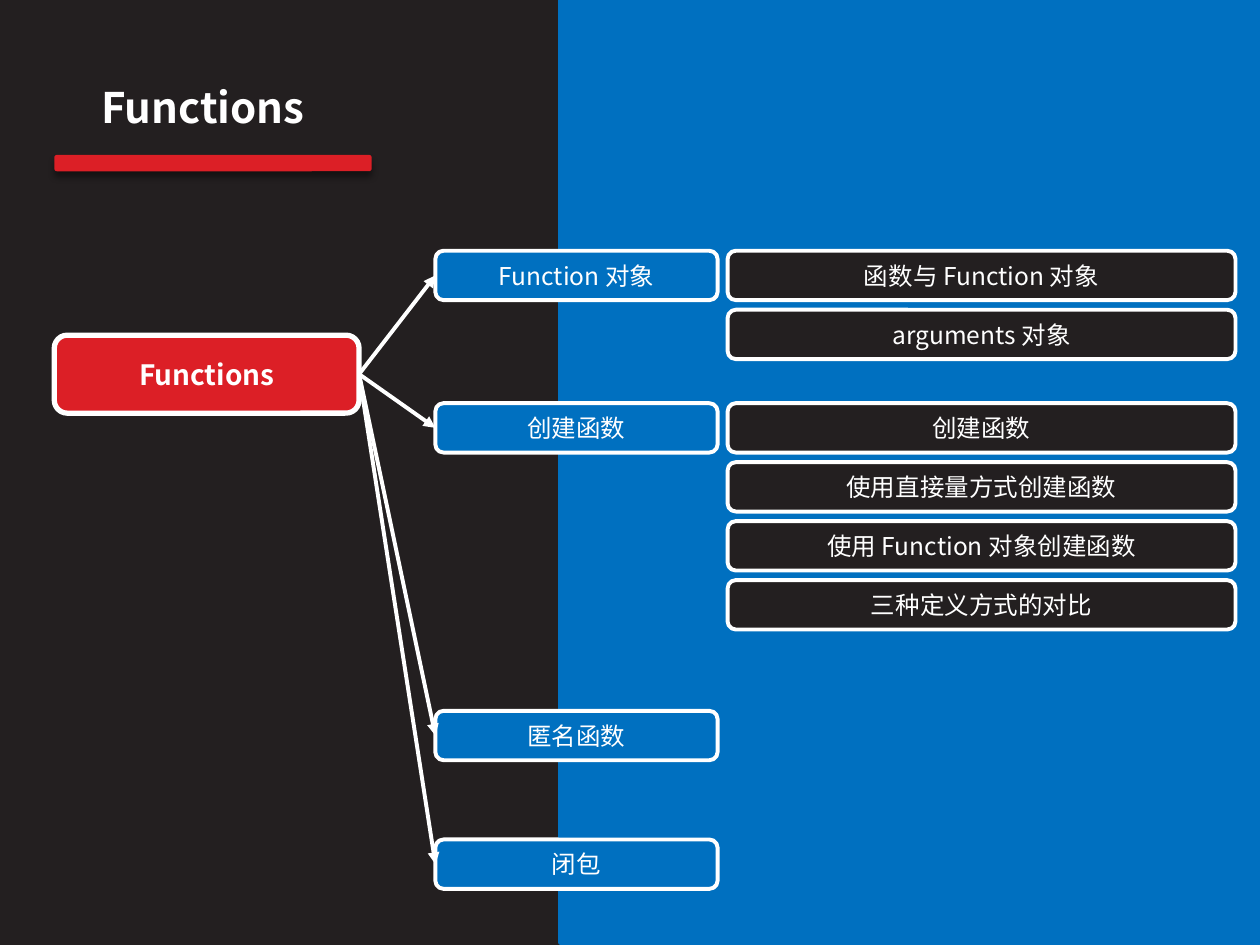
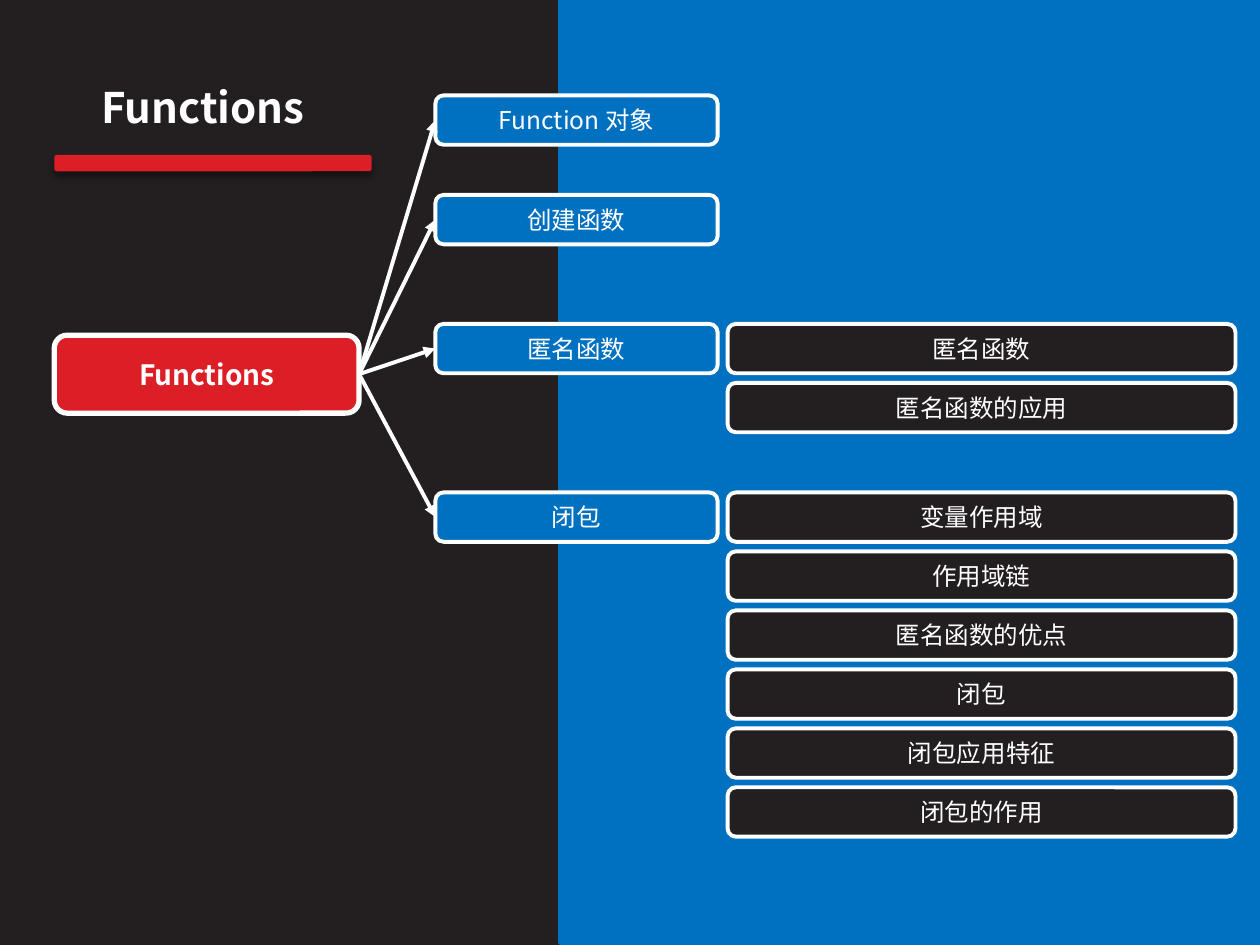
from dataclasses import dataclass

from lxml.etree import SubElement
from pptx import Presentation
from pptx.dml.color import RGBColor
from pptx.enum.shapes import MSO_CONNECTOR, MSO_SHAPE
from pptx.enum.text import MSO_ANCHOR, PP_ALIGN
from pptx.oxml.ns import qn
from pptx.shapes.autoshape import Shape
from pptx.slide import Slide
from pptx.text.text import TextFrame
from pptx.util import Pt

# Shared look
DARK = RGBColor(0x23, 0x1F, 0x20)
BLUE = RGBColor(0x00, 0x70, 0xC0)
RED = RGBColor(0xDC, 0x1F, 0x26)
WHITE = RGBColor(0xFF, 0xFF, 0xFF)
FONT = "Noto Sans CJK SC"
TITLE = "Functions"

# Outline grid, in points
TOPIC_LEFT, TOPIC_WIDTH = 248.8, 161.3
DETAIL_LEFT, DETAIL_WIDTH = 415.8, 290.2
BOX_HEIGHT = 28.2
DETAIL_PITCH = 33.7
LEFT_SITE, RIGHT_SITE = 1, 3


@dataclass(frozen=True)
class Topic:
    name: str
    top: float
    details: tuple[str, ...] = ()


@dataclass(frozen=True)
class BoxStyle:
    fill: RGBColor
    line_width: float = 2.25
    font_size: float = 14
    bold: bool = False


ROOT_STYLE = BoxStyle(RED, line_width=3, font_size=16, bold=True)
TOPIC_STYLE = BoxStyle(BLUE)
DETAIL_STYLE = BoxStyle(DARK)

OUTLINES = (
    (
        Topic("Function 对象", 143.3, ("函数与 Function 对象", "arguments 对象")),
        Topic("创建函数", 230.4, (
            "创建函数", "使用直接量方式创建函数",
            "使用 Function 对象创建函数", "三种定义方式的对比")),
        Topic("匿名函数", 406.2),
        Topic("闭包", 479.7),
    ),
    (
        Topic("Function 对象", 54.5),
        Topic("创建函数", 111.4),
        Topic("匿名函数", 185.1, ("匿名函数", "匿名函数的应用")),
        Topic("闭包", 281.4, (
            "变量作用域", "作用域链", "匿名函数的优点",
            "闭包", "闭包应用特征", "闭包的作用")),
    ),
)


def write_text(frame: TextFrame, text: str, size: float, bold: bool) -> None:
    frame.word_wrap = True
    paragraph = frame.paragraphs[0]
    paragraph.text = text
    paragraph.alignment = PP_ALIGN.CENTER
    font = paragraph.font
    font.name, font.size, font.bold = FONT, Pt(size), bold
    font.color.rgb = WHITE
    # East Asian characters need their own typeface entry
    properties = paragraph.runs[0].font
    properties.name = FONT
    SubElement(paragraph.runs[0]._r.rPr, qn("a:ea"), typeface=FONT)


def add_box(slide: Slide, text: str, left: float, top: float, width: float,
            height: float, style: BoxStyle) -> Shape:
    box = slide.shapes.add_shape(
        MSO_SHAPE.ROUNDED_RECTANGLE, Pt(left), Pt(top), Pt(width), Pt(height))
    box.shadow.inherit = False
    box.fill.solid()
    box.fill.fore_color.rgb = style.fill
    box.line.color.rgb = WHITE
    box.line.width = Pt(style.line_width)
    box.text_frame.vertical_anchor = MSO_ANCHOR.MIDDLE
    write_text(box.text_frame, text, style.font_size, style.bold)
    return box


def add_arrow(slide: Slide, start: Shape, end: Shape) -> None:
    arrow = slide.shapes.add_connector(MSO_CONNECTOR.STRAIGHT, 0, 0, 0, 0)
    arrow.begin_connect(start, RIGHT_SITE)
    arrow.end_connect(end, LEFT_SITE)
    arrow.line.color.rgb = WHITE
    arrow.line.width = Pt(2.25)
    SubElement(arrow.line._get_or_add_ln(), qn("a:tailEnd"), type="triangle")
    SubElement(arrow._element.spPr, qn("a:effectLst"))


def add_backdrop(slide: Slide) -> None:
    slide.background.fill.solid()
    slide.background.fill.fore_color.rgb = DARK
    panel = slide.shapes.add_shape(
        MSO_SHAPE.RECTANGLE, Pt(320.4), Pt(0), Pt(399.6), Pt(538.6))
    panel.shadow.inherit = False
    panel.fill.solid()
    panel.fill.fore_color.rgb = BLUE
    panel.line.color.rgb = BLUE
    panel.line.width = Pt(3)


def add_title(slide: Slide) -> None:
    group = slide.shapes.add_group_shape()
    title = group.shapes.add_textbox(Pt(-14.4), Pt(43.2), Pt(260.6), Pt(51.1))
    write_text(title.text_frame, TITLE, 24, True)
    bar = group.shapes.add_shape(
        MSO_SHAPE.ROUNDED_RECTANGLE, Pt(31), Pt(88.5), Pt(181.4), Pt(9.4))
    bar.fill.solid()
    bar.fill.fore_color.rgb = RED
    bar.line.fill.background()
    # Soft shadow straight below the bar
    bar.shadow.inherit = False
    effects = bar._element.spPr.find(qn("a:effectLst"))
    shadow = SubElement(
        effects, qn("a:outerShdw"), blurRad=str(Pt(4)), dist=str(Pt(3)),
        dir="5400000", algn="ctr", rotWithShape="0")
    color = SubElement(shadow, qn("a:srgbClr"), val="000000")
    SubElement(color, qn("a:alpha"), val="43000")


def add_outline(slide: Slide, topics: tuple[Topic, ...]) -> None:
    root = add_box(slide, TITLE, 31, 191.5, 174.2, 44.6, ROOT_STYLE)
    for topic in topics:
        topic_box = add_box(slide, topic.name, TOPIC_LEFT, topic.top,
                            TOPIC_WIDTH, BOX_HEIGHT, TOPIC_STYLE)
        add_arrow(slide, root, topic_box)
        for row, detail in enumerate(topic.details):
            add_box(slide, detail, DETAIL_LEFT, topic.top + row * DETAIL_PITCH,
                    DETAIL_WIDTH, BOX_HEIGHT, DETAIL_STYLE)


# Build the deck
presentation = Presentation()
presentation.slide_width, presentation.slide_height = Pt(720), Pt(540)
blank_layout = presentation.slide_layouts[6]
for outline in OUTLINES:
    slide = presentation.slides.add_slide(blank_layout)
    add_backdrop(slide)
    add_title(slide)
    add_outline(slide, outline)
presentation.save("out.pptx")
